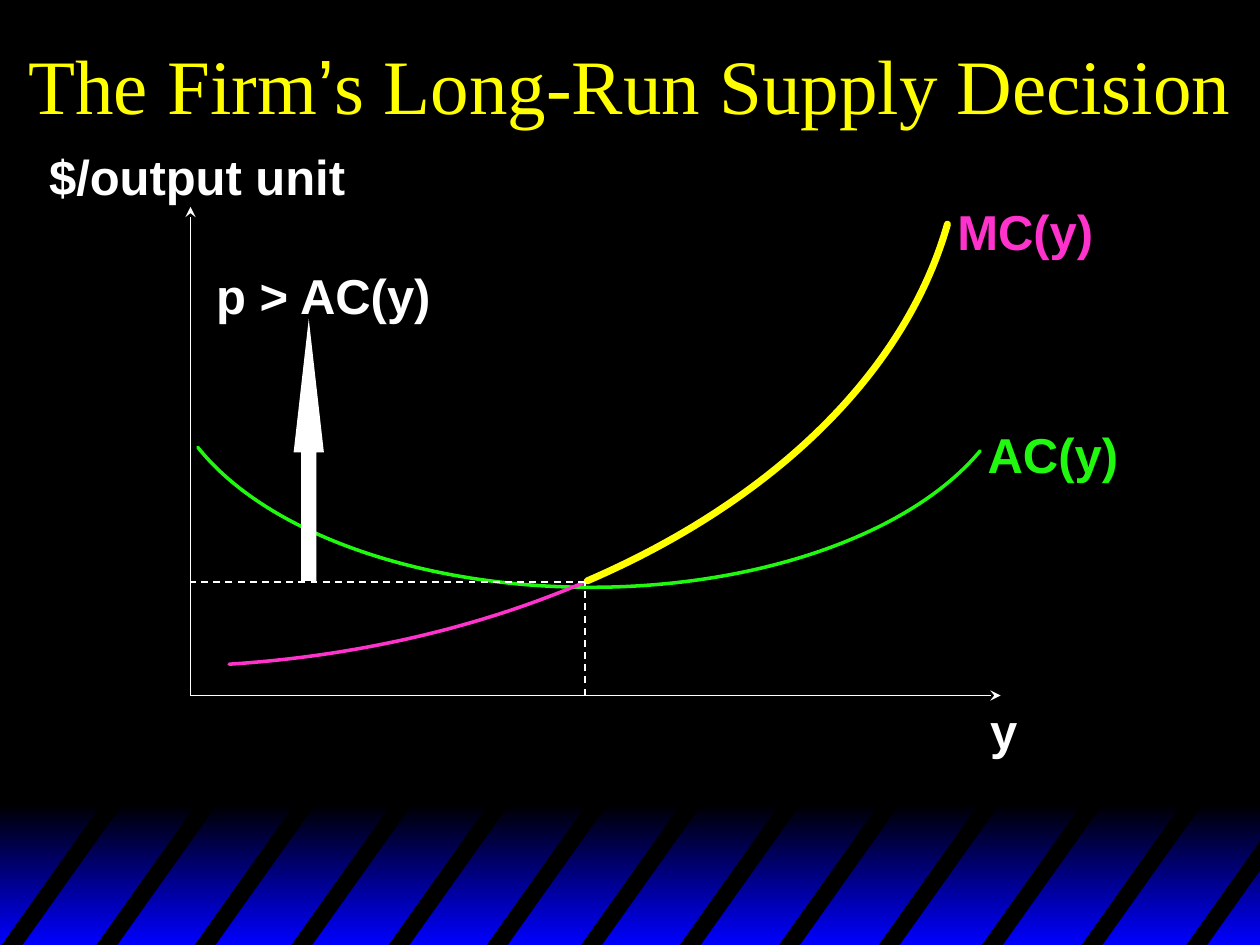
"""Build a slide on the firm's long-run supply decision with its cost curves."""
from dataclasses import dataclass

from pptx import Presentation
from pptx.dml.color import RGBColor
from pptx.enum.dml import MSO_LINE
from pptx.enum.shapes import MSO_CONNECTOR, MSO_SHAPE
from pptx.enum.text import MSO_ANCHOR, MSO_AUTO_SIZE, PP_ALIGN
from pptx.oxml.ns import qn
from pptx.oxml.xmlchemy import OxmlElement
from pptx.slide import Slide
from pptx.util import Cm, Pt

BLACK = RGBColor(0x00, 0x00, 0x00)
BLUE = RGBColor(0x00, 0x00, 0xFF)
WHITE = RGBColor(0xFF, 0xFF, 0xFF)
YELLOW = RGBColor(0xFF, 0xFF, 0x00)
GREEN = RGBColor(0x20, 0xF9, 0x0F)
PINK = RGBColor(0xFF, 0x33, 0xCC)

STRAIGHT = MSO_CONNECTOR.STRAIGHT
RECTANGLE = MSO_SHAPE.RECTANGLE
UP_ARROW = MSO_SHAPE.UP_ARROW
DASH = MSO_LINE.DASH
MIDDLE = MSO_ANCHOR.MIDDLE
NO_AUTOFIT = MSO_AUTO_SIZE.NONE
FIT_SHAPE = MSO_AUTO_SIZE.SHAPE_TO_FIT_TEXT
CENTER = PP_ALIGN.CENTER

SLIDE_WIDTH, SLIDE_HEIGHT = 25.4, 19.05
BAND_TOP = 16.21
STRIPE_BOTTOM, STRIPE_RISE, STRIPE_SLANT, STRIPE_WIDTH = 19.1, 3.0, 2.13, 0.42
STRIPE_LEFTS = (0, 1.91, 3.89, 5.84, 7.8, 9.78, 11.68, 13.67, 15.67, 17.68,
                19.76, 21.77, 23.88)
ORIGIN_X, ORIGIN_Y = 3.84, 14.02
SUPPLY_START_X, SUPPLY_START_Y = 11.79, 11.73

Point = tuple[float, float]


@dataclass
class Label:
    text: str
    left: float
    top: float
    width: float
    color: RGBColor = WHITE


@dataclass
class Line:
    start: Point
    end: Point
    arrow: bool = False


@dataclass
class Curve:
    points: list[Point]
    color: RGBColor
    weight: float


LABELS = [
    Label("MC(y)", 19.05, 3.94, 3.25, PINK),
    Label("AC(y)", 19.66, 8.43, 3.15, GREEN),
    Label("y", 19.71, 14.0, 1.07),
    Label("$/output unit", 0.74, 2.82, 6.5),
    Label("p > AC(y)", 4.11, 5.23, 4.88),
]
AXES = [
    Line((ORIGIN_X, ORIGIN_Y), (ORIGIN_X, 4.17), True),
    Line((ORIGIN_X, ORIGIN_Y), (20.17, ORIGIN_Y), True),
]
GUIDES = [
    Line((SUPPLY_START_X, ORIGIN_Y), (SUPPLY_START_X, SUPPLY_START_Y)),
    Line((SUPPLY_START_X, SUPPLY_START_Y), (ORIGIN_X, SUPPLY_START_Y)),
]
CURVES = [
    Curve([(19.76, 9.09), (18.36, 10.77), (15.29, 11.84), (11.91, 11.84),
           (8.46, 11.84), (5.36, 10.74), (3.99, 9.02)], GREEN, 2),
    Curve([(19.08, 4.55), (17.7, 9.32), (11.81, 12.93), (4.62, 13.39)], PINK, 2),
    Curve([(19.1, 4.52), (18.26, 7.49), (15.62, 10.08), (11.84, 11.71)], YELLOW, 4),
]


def draw_outline(slide: Slide, points: list[Point], close: bool):
    """Draw a freeform through the points."""
    corners = [(Cm(x), Cm(y)) for x, y in points]
    builder = slide.shapes.build_freeform(*corners[0])
    builder.add_line_segments(corners[1:], close=close)
    outline = builder.convert_to_shape()
    outline.shadow.inherit = False
    return outline


def draw_band(slide: Slide) -> None:
    """Draw the blue gradient band along the bottom."""
    band = slide.shapes.add_shape(RECTANGLE, 0, Cm(BAND_TOP), Cm(SLIDE_WIDTH),
                                  Cm(SLIDE_HEIGHT - BAND_TOP))
    band.shadow.inherit = False
    band.line.fill.background()
    band.fill.gradient()
    band.fill.gradient_angle = 270
    for stop, color, position in zip(band.fill.gradient_stops, (BLACK, BLUE), (0, 1)):
        stop.color.rgb = color
        stop.position = position


def draw_stripe(slide: Slide, left: float) -> None:
    """Draw one slanted stripe, cut off at the slide's right edge."""
    def upper_end(x: float) -> Point:
        reach = min(STRIPE_SLANT, SLIDE_WIDTH - x)
        return x + reach, STRIPE_BOTTOM - reach * STRIPE_RISE / STRIPE_SLANT

    right = left + STRIPE_WIDTH
    corners = [(left, STRIPE_BOTTOM), upper_end(left), upper_end(right),
               (right, STRIPE_BOTTOM)]
    stripe = draw_outline(slide, corners, True)
    stripe.fill.solid()
    stripe.fill.fore_color.rgb = BLACK
    stripe.line.fill.background()


def draw_line(slide: Slide, line: Line) -> None:
    """Draw an axis with an arrowhead or a dashed guide."""
    connector = slide.shapes.add_connector(STRAIGHT, *map(Cm, line.start + line.end))
    connector.line.color.rgb = WHITE
    connector.line.width = Pt(1)
    if line.arrow:
        head = OxmlElement("a:tailEnd")
        head.set("type", "stealth")
        connector.line._get_or_add_ln().append(head)
    else:
        connector.line.dash_style = DASH
    connector._element.spPr.append(OxmlElement("a:effectLst"))


def draw_curve(slide: Slide, curve: Curve) -> None:
    """Draw a Bézier curve from its start and control points."""
    outline = draw_outline(slide, curve.points, False)
    outline.fill.background()
    outline.line.color.rgb = curve.color
    outline.line.width = Pt(curve.weight)
    outline.line._get_or_add_ln().set("cap", "rnd")
    segments = list(outline._element.iter(qn("a:lnTo")))
    for first in range(0, len(segments), 3):
        bezier = OxmlElement("a:cubicBezTo")
        segments[first].addprevious(bezier)
        for segment in segments[first:first + 3]:
            bezier.append(segment[0])
            segment.getparent().remove(segment)


def draw_price_arrow(slide: Slide) -> None:
    """Draw the white arrow for prices above average cost."""
    arrow = slide.shapes.add_shape(UP_ARROW, Cm(5.92), Cm(6.43), Cm(0.61), Cm(5.28))
    arrow.shadow.inherit = False
    arrow.adjustments[0] = 0.5
    arrow.adjustments[1] = 4.41
    arrow.fill.solid()
    arrow.fill.fore_color.rgb = WHITE
    arrow.line.fill.background()


def draw_label(slide: Slide, label: Label) -> None:
    """Write a bold label."""
    box = slide.shapes.add_textbox(Cm(label.left), Cm(label.top), Cm(label.width), Cm(1.45))
    frame = box.text_frame
    frame.word_wrap = False
    frame.auto_size = FIT_SHAPE
    frame.text = label.text
    font = frame.paragraphs[0].runs[0].font
    font.name, font.size, font.bold = "Arial", Pt(28), True
    font.color.rgb = label.color


def write_title(slide: Slide) -> None:
    """Fill and format the title placeholder."""
    title = slide.shapes.title
    title.left, title.top, title.width, title.height = 0, 0, Cm(SLIDE_WIDTH), Cm(3.38)
    frame = title.text_frame
    frame.auto_size = NO_AUTOFIT
    frame.vertical_anchor = MIDDLE
    heading = frame.paragraphs[0]
    heading.alignment = CENTER
    for words, face in (("The Firm", "Times New Roman"), ("’", "Arial"),
                        ("s Long-Run Supply Decision", "Times New Roman")):
        run = heading.add_run()
        run.text = words
        run.font.name, run.font.size = face, Pt(44)
        run.font.color.rgb = YELLOW


def main() -> None:
    """Build and save the slide."""
    deck = Presentation()
    deck.slide_width, deck.slide_height = Cm(SLIDE_WIDTH), Cm(SLIDE_HEIGHT)
    slide = deck.slides.add_slide(deck.slide_layouts[5])
    slide.background.fill.solid()
    slide.background.fill.fore_color.rgb = BLACK
    write_title(slide)
    draw_band(slide)
    for left in STRIPE_LEFTS:
        draw_stripe(slide, left)
    for axis in AXES:
        draw_line(slide, axis)
    for curve in CURVES:
        draw_curve(slide, curve)
    for guide in GUIDES:
        draw_line(slide, guide)
    draw_price_arrow(slide)
    for label in LABELS:
        draw_label(slide, label)
    deck.save("out.pptx")


if __name__ == "__main__":
    main()
